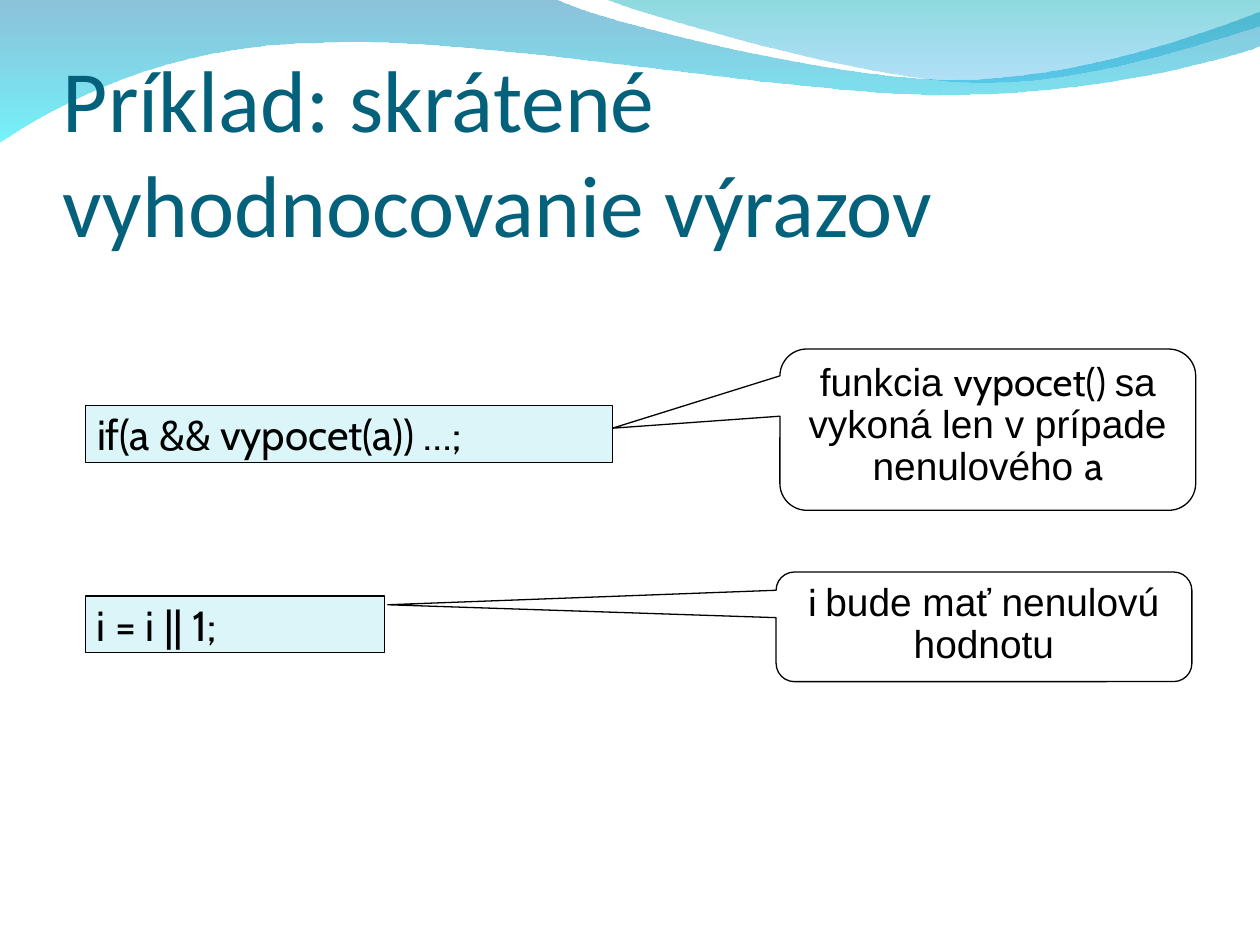
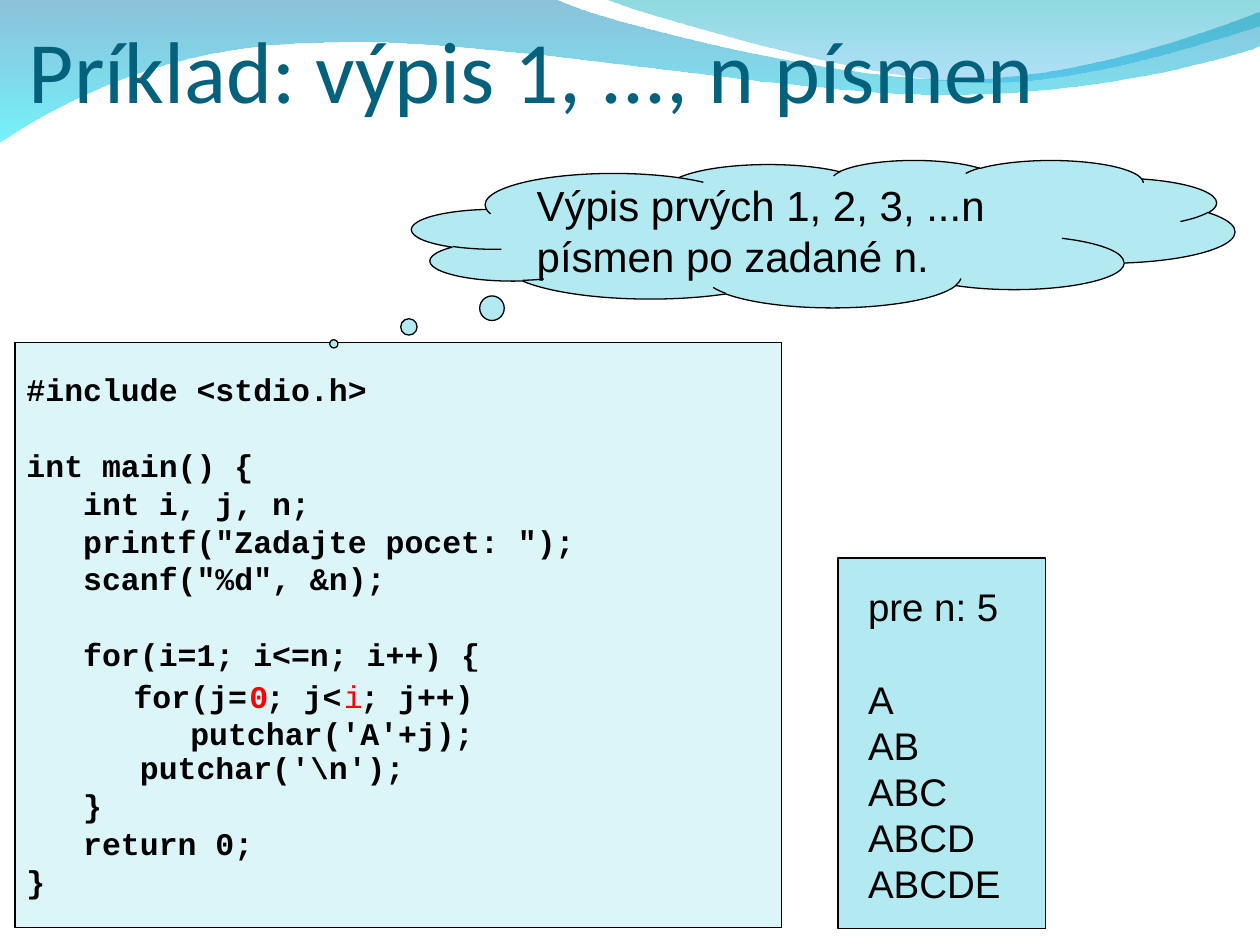
from dataclasses import dataclass

from lxml import etree
from pptx import Presentation
from pptx.dml.color import RGBColor
from pptx.enum.shapes import MSO_SHAPE
from pptx.enum.text import MSO_ANCHOR, PP_ALIGN
from pptx.oxml import parse_xml
from pptx.util import Inches, Pt


@dataclass(frozen=True)
class Theme:
    """Colours, fonts and type sizes shared by the slides."""
    title: str = "04617B"
    ink: str = "000000"
    accent: str = "FF0000"
    paper: str = "FFFFFF"
    pale: str = "DBF5F9"
    aqua: str = "B3EAF2"
    title_font: str = "Calibri"
    body_font: str = "Arial"
    snippet_font: str = "Cabin"
    code_font: str = "Courier New"
    title_size: float = 50
    large: float = 24
    callout_size: float = 22.2
    output_size: float = 22
    code_size: float = 18
    leading: float = 1.2


T = Theme()
DRAWING_NS = "http://schemas.openxmlformats.org/drawingml/2006/main"
A = f"{{{DRAWING_NS}}}"
BLANK_LAYOUT = 6

BROAD_WAVE = (
    (0, -0.01), [
        [(4.4, -0.01)],
        [(4.76, 0.17), (6.64, 0.63), (7.58, 0.63)],
        [(8.53, 0.63), (9.58, 0.26), (10, 0.09)],
        [(10.01, 0.36)],
        [(9.83, 0.44), (8.7, 0.76), (7.46, 0.75)],
        [(6.22, 0.75), (3.82, 0.28), (2.57, 0.34)],
        [(1.29, 0.35), (0.46, 0.83), (-0.01, 1.13)],
    ], [(0, "0079AF", 45), (100, "00EBF8", 55)])
RIGHT_WAVE = (
    (4.79, -0.01), [
        [(5.09, 0.11), (6.82, 0.62), (7.69, 0.65)],
        [(8.56, 0.69), (9.61, 0.32), (10, 0.21)],
        [(10, 0)],
    ], [(0, "00ADB6", 45), (100, "009BE5", 30)])

LISTING = """#include <stdio.h>

int main() {
   int i, j, n;
   printf("Zadajte pocet: ");
   scanf("%d", &n);

   for(i=1; i<=n; i++) {


      putchar('\\n');
   }
   return 0;
}"""
INNER_LOOP = """for(j= ; j< ; j++)
   putchar('A'+j);"""
OUTPUT = """pre n: 5

A
AB
ABC
ABCD
ABCDE"""


def rgb(color):
    """Turn a hex string into a colour."""
    return RGBColor.from_string(color)


def set_font(font, name, size, color=T.ink, bold=False):
    """Set the usual properties of a font."""
    font.name, font.size, font.bold = name, Pt(size), bold
    font.color.rgb = rgb(color)


def bend(sp, segments):
    """Turn the three-point segments of a freeform into cubic curves."""
    lines = list(sp._element.iter(f"{A}lnTo"))
    for line, segment in zip(lines, segments):
        if len(segment) == 3:
            curve = etree.Element(f"{A}cubicBezTo")
            for x, y in segment:
                etree.SubElement(curve, f"{A}pt", x=str(Inches(x) - sp.left),
                                 y=str(Inches(y) - sp.top))
            line.getparent().replace(line, curve)


def set_gradient(sp, stops):
    """Fill a shape with a translucent gradient from top to bottom."""
    sp.fill.background()
    fill = parse_xml(
        f'<a:gradFill xmlns:a="{DRAWING_NS}" rotWithShape="1"><a:gsLst/>'
        '<a:lin ang="5400000" scaled="0"/></a:gradFill>')
    for pos, color, alpha in stops:
        gs = etree.SubElement(fill[0], f"{A}gs", pos=str(pos * 1000))
        clr = etree.SubElement(gs, f"{A}srgbClr", val=color)
        etree.SubElement(clr, f"{A}alpha", val=str(alpha * 1000))
    spPr = sp._element.spPr
    spPr.replace(spPr.find(f"{A}noFill"), fill)


def add_wave(s, start, segments, stops):
    """Draw one wave of the header."""
    builder = s.shapes.build_freeform(*map(Inches, start))
    builder.add_line_segments([tuple(map(Inches, segment[-1])) for segment in segments])
    sp = builder.convert_to_shape()
    sp.shadow.inherit = False
    sp.line.fill.background()
    bend(sp, segments)
    set_gradient(sp, stops)


def set_frame(tf, anchor, margins=(0.09, 0.05, 0.09, 0.05), wrap=True):
    """Set wrapping, anchor and insets of a text frame."""
    tf.word_wrap, tf.vertical_anchor = wrap, anchor
    tf.margin_left, tf.margin_top, tf.margin_right, tf.margin_bottom = map(Inches, margins)


def add_titled_slide(prs, title, box):
    """Add a slide with the wave header and a title in the given box."""
    s = prs.slides.add_slide(prs.slide_layouts[BLANK_LAYOUT])
    for wave in (BROAD_WAVE, RIGHT_WAVE):
        add_wave(s, *wave)
    tf = s.shapes.add_textbox(*map(Inches, box)).text_frame
    set_frame(tf, MSO_ANCHOR.BOTTOM, (0, 0.05, 0, 0))
    p = tf.paragraphs[0]
    p.text = title
    set_font(p.font, T.title_font, T.title_size, T.title)
    return s


def add_panel(s, box, fill, kind=MSO_SHAPE.RECTANGLE, adjustments=(), outlined=True):
    """Add a flat filled shape with a thin outline."""
    sp = s.shapes.add_shape(kind, *map(Inches, box))
    sp.shadow.inherit = False
    for i, value in enumerate(adjustments):
        sp.adjustments[i] = value
    sp.fill.solid()
    sp.fill.fore_color.rgb = rgb(fill)
    if outlined:
        sp.line.color.rgb = rgb(T.ink)
        sp.line.width = Pt(0.75)
    else:
        sp.line.fill.background()
    set_frame(sp.text_frame, MSO_ANCHOR.MIDDLE)
    return sp


def write_lines(tf, text, name, size, bold=False):
    """Write lines on an even pitch, turning empty lines into spacing."""
    pitch, gap, p = size * T.leading, 0, None
    for line in text.split("\n"):
        if not line:
            gap += pitch
            continue
        p = tf.add_paragraph() if p else tf.paragraphs[0]
        p.text, p.alignment, p.line_spacing = line, PP_ALIGN.LEFT, Pt(pitch)
        if gap:
            p.space_before = Pt(gap)
        set_font(p.font, name, size, bold=bold)
        gap = 0


def add_snippet(s, box, code):
    """Add a one-line code sample."""
    p = add_panel(s, box, T.pale).text_frame.paragraphs[0]
    p.text, p.alignment = code, PP_ALIGN.LEFT
    set_font(p.font, T.snippet_font, T.large)


def add_callout(s, box, tip, runs):
    """Add a speech callout of (text, font) runs pointing at the tip."""
    sp = add_panel(s, box, T.paper, MSO_SHAPE.ROUNDED_RECTANGULAR_CALLOUT, (*tip, 0.167))
    set_frame(sp.text_frame, MSO_ANCHOR.TOP, (0.09, 0.04, 0.09, 0.05))
    p = sp.text_frame.paragraphs[0]
    p.alignment, p.line_spacing = PP_ALIGN.CENTER, Pt(24)
    for text, name in runs:
        r = p.add_run()
        r.text = text
        set_font(r.font, name, T.callout_size)


def add_listing(s, box):
    """Add the program listing."""
    tf = add_panel(s, box, T.pale).text_frame
    write_lines(tf, LISTING, T.code_font, T.code_size, bold=True)


def add_inner_loop(s, box):
    """Add the inner loop with its highlighted bounds."""
    left, top, _, _ = box
    tf = add_panel(s, box, T.pale, outlined=False).text_frame
    tf.margin_right = 0
    write_lines(tf, INNER_LOOP, T.code_font, T.code_size, bold=True)
    for text, offset, bold in (("0", 0.92, True), ("i", 1.67, False)):
        mark = (left + offset, top + 0.08, 0.23, 0.23)
        tf = s.shapes.add_textbox(*map(Inches, mark)).text_frame
        set_frame(tf, MSO_ANCHOR.MIDDLE, wrap=False)
        p = tf.paragraphs[0]
        p.text = text
        set_font(p.font, T.code_font, T.code_size, T.accent, bold)


def add_thought(s, box, text):
    """Add a thought cloud that describes the program."""
    sp = add_panel(s, box, T.aqua, MSO_SHAPE.CLOUD_CALLOUT, (-0.595, 0.747))
    write_lines(sp.text_frame, text, T.body_font, T.large)


def add_output(s, box):
    """Add the panel with the sample output inside it."""
    left, top, width, height = box
    add_panel(s, box, T.aqua)
    inside = (left + 0.15, top + 0.15, width - 0.15, height - 0.28)
    tf = s.shapes.add_textbox(*map(Inches, inside)).text_frame
    set_frame(tf, MSO_ANCHOR.TOP)
    write_lines(tf, OUTPUT, T.body_font, T.output_size)


def build_evaluation_slide(prs):
    """Build the slide on short-circuit evaluation."""
    s = add_titled_slide(prs, "Príklad: skrátené vyhodnocovanie výrazov", (0.5, 0.77, 9, 1.25))
    add_snippet(s, (0.68, 3.22, 4.18, 0.45), "if(a && vypocet(a)) …;")
    add_snippet(s, (0.68, 4.73, 2.37, 0.45), "i = i || 1;")
    add_callout(s, (6.19, 2.77, 3.3, 1.28), (-0.903, -0.009), [
        ("funkcia ", T.body_font), ("vypocet() ", T.snippet_font),
        ("sa vykoná len v prípade nenulového ", T.body_font), ("a", T.snippet_font)])
    add_callout(s, (6.16, 4.54, 3.3, 0.87), (-1.434, -0.201), [
        ("i ", T.snippet_font), ("bude mať nenulovú hodnotu", T.body_font)])


def build_letters_slide(prs):
    """Build the slide on printing the first n letters."""
    s = add_titled_slide(prs, "Príklad: výpis 1, ..., n písmen", (0.23, 0.03, 8.03, 0.93))
    add_listing(s, (0.12, 2.72, 6.08, 4.64))
    add_thought(s, (3.27, 1.27, 6.53, 1.17), "Výpis prvých 1, 2, 3, ...n písmen po zadané n.")
    add_inner_loop(s, (0.97, 5.33, 2.88, 0.68))
    add_output(s, (6.65, 4.43, 1.65, 2.94))


def main():
    """Build and save the presentation."""
    prs = Presentation()
    prs.slide_width, prs.slide_height = Inches(10), Inches(7.5)
    build_evaluation_slide(prs)
    build_letters_slide(prs)
    prs.save("out.pptx")


if __name__ == "__main__":
    main()
